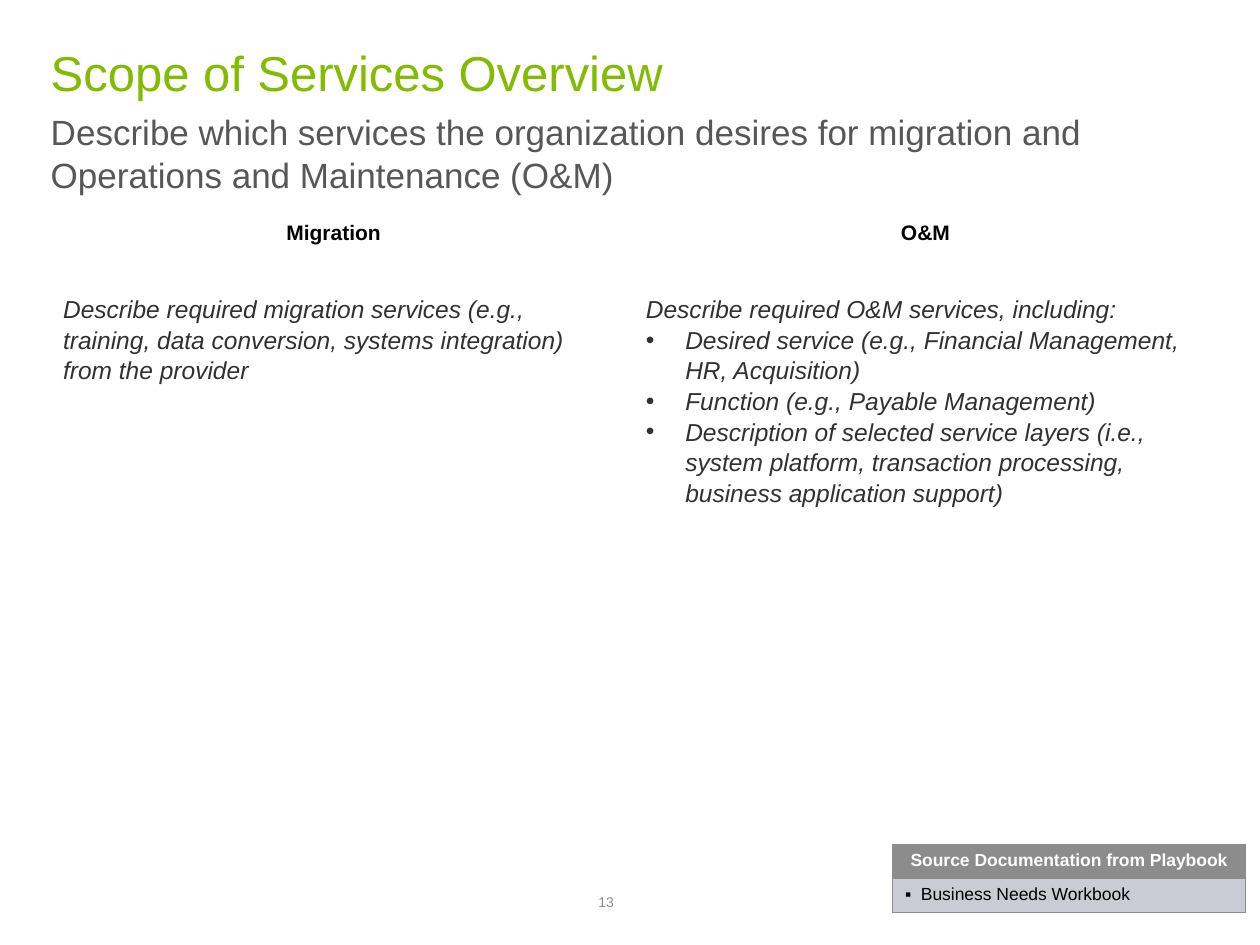
from lxml.etree import SubElement
from pptx import Presentation
from pptx.dml.color import RGBColor
from pptx.enum.shapes import MSO_SHAPE
from pptx.enum.text import MSO_ANCHOR, MSO_AUTO_SIZE, PP_ALIGN
from pptx.oxml.ns import qn
from pptx.util import Pt

GREEN = RGBColor(0x81, 0xBC, 0x00)
SLATE = RGBColor(0x57, 0x57, 0x57)
DARK = RGBColor(0x31, 0x31, 0x31)
GRAY = RGBColor(0x8C, 0x8C, 0x8C)
PALE = RGBColor(0xCA, 0xCB, 0xD5)
BLACK = RGBColor(0, 0, 0)
WHITE = RGBColor(0xFF, 0xFF, 0xFF)


class Deck:
    face = "Arial"
    pitch = 1.04

    def __init__(self, slide):
        self.slide = slide

    def style(self, para, size, color, bold=False, italic=False,
              align=PP_ALIGN.LEFT, pitch=None):
        para.alignment = align
        para.line_spacing = pitch or self.pitch
        para.space_before = para.space_after = Pt(0)
        font = para.font
        font.name, font.size = self.face, Pt(size)
        font.bold, font.italic = bold, italic
        font.color.rgb = color

    def bullet(self, para, mark, indent, color):
        props = para._p.get_or_add_pPr()
        props.set("marL", str(Pt(indent)))
        props.set("indent", str(-Pt(indent)))
        if not mark:
            SubElement(props, qn("a:buNone"))
            return
        tint = SubElement(props, qn("a:buClr"))
        SubElement(tint, qn("a:srgbClr"), val=str(color))
        SubElement(props, qn("a:buFont"), typeface=self.face)
        SubElement(props, qn("a:buChar"), char=mark)

    def frame(self, shape, pad=(0, 0), anchor=MSO_ANCHOR.TOP, wrap=True):
        frame = shape.text_frame
        frame.auto_size = MSO_AUTO_SIZE.NONE
        frame.word_wrap = wrap
        frame.vertical_anchor = anchor
        frame.margin_left = frame.margin_right = Pt(pad[0])
        frame.margin_top = frame.margin_bottom = Pt(pad[1])
        return frame

    def holder(self, index, box, text, size, color):
        shape = self.slide.placeholders[index]
        shape.left, shape.top, shape.width, shape.height = map(Pt, box)
        frame = self.frame(shape)
        frame.text = text
        para = frame.paragraphs[0]
        self.bullet(para, None, 0, color)
        self.style(para, size, color)

    def head(self, box, text):
        shape = self.slide.shapes.add_shape(MSO_SHAPE.RECTANGLE, *map(Pt, box))
        shape.shadow.inherit = False
        shape.fill.solid()
        shape.fill.fore_color.rgb = WHITE
        shape.line.fill.background()
        frame = self.frame(shape, (7.2, 0), MSO_ANCHOR.MIDDLE, False)
        frame.text = text
        self.style(frame.paragraphs[0], 12, BLACK, bold=True,
                   align=PP_ALIGN.CENTER, pitch=1.06)

    def notes(self, box, lead, items=()):
        shape = self.slide.shapes.add_textbox(*map(Pt, box))
        frame = self.frame(shape, (7.2, 3.6))
        frame.text = "\n".join([lead, *items])
        for para in frame.paragraphs[1:]:
            self.bullet(para, "•", 22.5, DARK)
        for para in frame.paragraphs:
            self.style(para, 14, DARK, italic=True)

    def number(self, box, text):
        shape = self.slide.shapes.add_textbox(*map(Pt, box))
        frame = self.frame(shape, anchor=MSO_ANCHOR.BOTTOM)
        frame.text = text
        self.style(frame.paragraphs[0], 8, GRAY, pitch=1.0)

    def border(self, cell):
        props = cell._tc.get_or_add_tcPr()
        for side in ("lnL", "lnR", "lnT", "lnB"):
            line = SubElement(props, qn("a:" + side), w=str(Pt(1)))
            fill = SubElement(line, qn("a:solidFill"))
            SubElement(fill, qn("a:srgbClr"), val=str(GRAY))

    def source(self, box, title, item):
        table = self.slide.shapes.add_table(2, 1, *map(Pt, box)).table
        fills = (GRAY, PALE)
        for row, text, fill in zip(table.rows, (title, item), fills):
            cell = row.cells[0]
            self.border(cell)
            cell.fill.solid()
            cell.fill.fore_color.rgb = fill
            cell.text = text
        top, low = [row.cells[0].text_frame.paragraphs[0] for row in table.rows]
        self.style(top, 10, WHITE, bold=True, align=PP_ALIGN.CENTER, pitch=1.0)
        self.bullet(low, "▪", 9, BLACK)
        self.style(low, 10, BLACK, pitch=1.0)


def main():
    show = Presentation()
    show.slide_width, show.slide_height = Pt(720), Pt(540)
    deck = Deck(show.slides.add_slide(show.slide_layouts[1]))
    deck.holder(0, (29, 23, 662, 37), "Scope of Services Overview", 28, GREEN)
    deck.holder(1, (29, 62, 662, 60),
                "Describe which services the organization desires for migration "
                "and Operations and Maintenance (O&M)", 20, SLATE)
    deck.head((156.2, 124.5, 69, 15), "Migration")
    deck.head((507.6, 124.5, 42.5, 15), "O&M")
    deck.notes((29, 164, 321, 58),
               "Describe required migration services (e.g., training, data "
               "conversion, systems integration) from the provider")
    deck.notes((362, 164, 329, 126),
               "Describe required O&M services, including:",
               ("Desired service (e.g., Financial Management, HR, Acquisition)",
                "Function (e.g., Payable Management)",
                "Description of selected service layers (i.e., system platform, "
                "transaction processing, business application support)"))
    deck.source((510, 482.5, 201.6, 39), "Source Documentation from Playbook",
                "Business Needs Workbook")
    deck.number((342, 510.5, 36, 9.4), "13")
    show.save("out.pptx")


if __name__ == "__main__":
    main()
